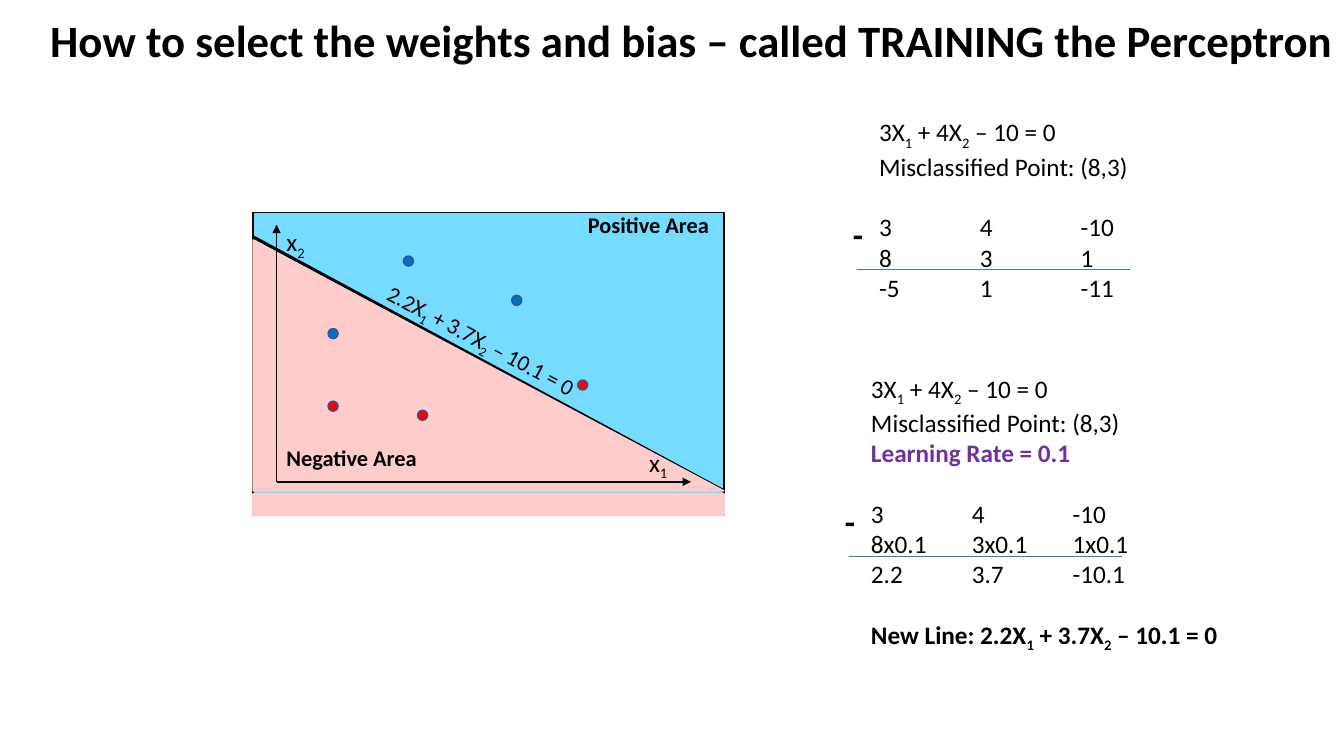
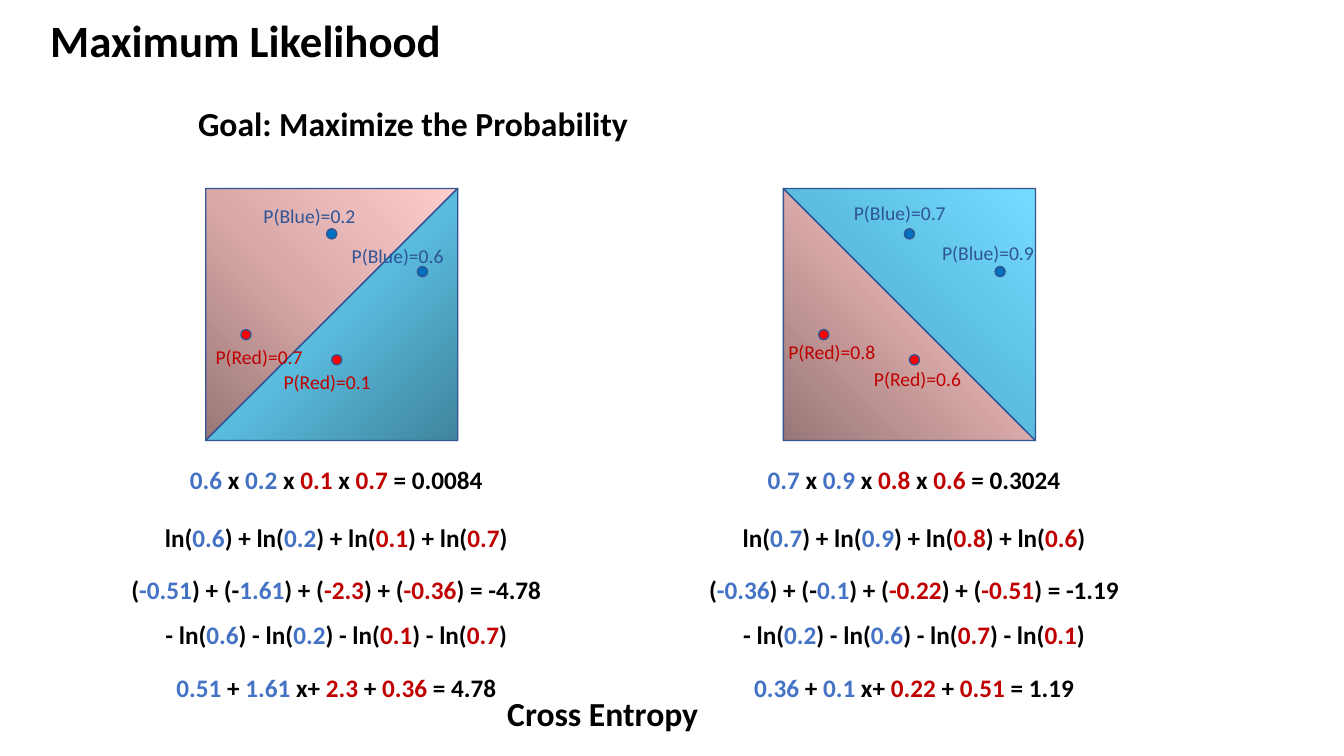
from dataclasses import dataclass

from lxml import etree
from pptx import Presentation
from pptx.dml.color import RGBColor
from pptx.enum.shapes import MSO_CONNECTOR, MSO_SHAPE
from pptx.enum.text import PP_ALIGN
from pptx.oxml.ns import qn
from pptx.util import Inches, Pt

WIDE, HIGH = 13.33, 7.5
FONT = "Calibri"
HUE = {
    "ink": "000000", "sky": "75DBFF", "rose": "FFCCCC", "edge": "325491",
    "blue": "0070C0", "red": "FF0000", "rule": "4472C4", "rate": "7030A0",
    "cool": "2F5597", "warm": "C00000",
}
FADE = {
    "rose": ("997777", "DAA9A9", "FFCCCC"),
    "sky": ("3F859D", "5ABDE0", "75DBFF"),
}
# First letter of a marked run: subscript, blue value, red value
MARKS = {"_": None, "~": "rule", "^": "warm"}


@dataclass
class Box:
    """A region whose cuts are given in units of its own width and height."""
    x: float
    y: float
    w: float
    h: float

    def cut(self, x, y, w=0, h=0):
        return Box(self.x + x * self.w, self.y + y * self.h, w * self.w, h * self.h)

    def emu(self):
        return [Inches(v) for v in (self.x, self.y, self.w, self.h)]


PAGE = Box(0, 0, WIDE, HIGH)


def rgb(name):
    return RGBColor.from_string(HUE[name])


def add_runs(para, line, size, bold, hue):
    for bit in line.split("|"):
        if not bit:
            continue
        mark = bit[0] if bit[0] in MARKS else ""
        run = para.add_run()
        run.text = bit[len(mark):]
        font = run.font
        font.name, font.size, font.bold = FONT, Pt(size), bold
        font.color.rgb = rgb(MARKS.get(mark) or hue)
        if mark == "_":
            run._r.get_or_add_rPr().set("baseline", "-25000")


def add_tabs(para, stops):
    tabs = etree.SubElement(para._p.get_or_add_pPr(), qn("a:tabLst"))
    for stop in stops:
        etree.SubElement(tabs, qn("a:tab"), pos=str(Inches(stop)), algn="l")


def write(slide, box, *lines, size=18, bold=False, hue="ink", mid=False,
          wrap=False, turn=0):
    """Each line is marked text, or a pair of marked text and its own format."""
    area = slide.shapes.add_textbox(*box.emu())
    area.rotation = turn
    frame = area.text_frame
    frame.word_wrap = wrap
    for i, line in enumerate(lines):
        text, own = line if isinstance(line, tuple) else (line, {})
        para = frame.paragraphs[0] if i == 0 else frame.add_paragraph()
        para.alignment = PP_ALIGN.CENTER if mid else PP_ALIGN.LEFT
        if own.get("gap"):
            para.space_before = Pt(own["gap"])
        if "\t" in text:
            add_tabs(para, (1, 2))
        add_runs(para, text, size, own.get("bold", bold), own.get("hue", hue))


def draw(slide, kind, box, fill, edge, turn=0):
    shape = slide.shapes.add_shape(kind, *box.emu())
    shape.shadow.inherit = False
    shape.rotation = turn
    shape.fill.solid()
    shape.fill.fore_color.rgb = rgb(fill)
    shape.line.color.rgb = rgb(edge)
    shape.line.width = Pt(1)
    return shape


def join(slide, start, end, hue="ink", width=1, arrow=False):
    line = slide.shapes.add_connector(
        MSO_CONNECTOR.STRAIGHT, *start.emu()[:2], *end.emu()[:2])
    line.line.color.rgb = rgb(hue)
    line.line.width = Pt(width)
    if arrow:
        etree.SubElement(line.line._get_or_add_ln(), qn("a:tailEnd"), type="triangle")
    etree.SubElement(line._element.spPr, qn("a:effectLst"))


def dot(slide, spot, hue):
    size = 0.1
    disc = Box(spot.x - size / 2, spot.y - size / 2, size, size)
    draw(slide, MSO_SHAPE.FLOWCHART_CONNECTOR, disc, hue, "edge")


def shade(shape, hues, linear):
    """Fade along the shape's diagonal, or outwards from the lower left of the page."""
    grad = etree.Element(qn("a:gradFill"), rotWithShape="1" if linear else "0")
    stops = etree.SubElement(grad, qn("a:gsLst"))
    for i, hue in enumerate(hues):
        stop = etree.SubElement(stops, qn("a:gs"), pos=str(i * 50000))
        etree.SubElement(stop, qn("a:srgbClr"), val=hue)
    if linear:
        etree.SubElement(grad, qn("a:lin"), ang=str(315 * 60000), scaled="0")
    else:
        ring = etree.SubElement(grad, qn("a:path"), path="circle")
        etree.SubElement(ring, qn("a:fillToRect"), t="100000", r="100000")
    props = shape._element.spPr
    props.replace(props.find(qn("a:solidFill")), grad)


def title(slide, text):
    write(slide, PAGE.cut(0.03, 0.01, 0.97, 0.09), text, size=32, bold=True)


def plot(slide, box):
    draw(slide, MSO_SHAPE.RECTANGLE, box, "sky", "ink")
    join(slide, box.cut(0, 0.08), box.cut(1, 0.92), width=2.25)
    write(slide, box.cut(0.24, 0.36, 0.49, 0.12),
          "2.2X|_1| + 3.7X|_2| – 10.1 = 0", size=16, mid=True, turn=28)
    draw(slide, MSO_SHAPE.RIGHT_TRIANGLE, box.cut(0, 0.09, 1, 0.83), "rose", "rose")
    draw(slide, MSO_SHAPE.RECTANGLE, box.cut(0, 0.93, 1, 0.07), "rose", "rose")
    root = box.cut(0.05, 0.89)
    for tip in ((0.05, 0.04), (0.93, 0.89)):
        join(slide, root, box.cut(*tip), arrow=True)
    for x, y, name in ((0.05, 0.03, "x|_2"), (0.82, 0.76, "x|_1")):
        write(slide, box.cut(x, y, 0.09, 0.13), name)
    for x, y, name in ((0.05, 0.75, "Negative Area"), (0.69, -0.02, "Positive Area")):
        write(slide, box.cut(x, y, 0.32, 0.12), name, size=16, bold=True)
    spots = {
        "blue": ((0.33, 0.16), (0.56, 0.29), (0.17, 0.4)),
        "red": ((0.36, 0.67), (0.17, 0.64), (0.7, 0.57)),
    }
    for hue, places in spots.items():
        for place in places:
            dot(slide, box.cut(*place), hue)


def sums(slide, x, y, rows, extra=(), close=()):
    """Subtraction on a grid of one-inch columns and text-line rows."""
    grid = Box(x, y, 1, 0.31)
    skip = len(extra)
    blank = {"gap": 21.6}
    lines = ["3X|_1| + 4X|_2| – 10 = 0", "Misclassified Point: (8,3)", *extra]
    first, *rest = ["\t".join(row) for row in rows]
    lines += [(first, blank), *rest]
    lines += [(text, {**blank, "bold": True}) for text in close]
    write(slide, grid.cut(0.26, 0, 3.72, 7 + 3 * skip), *lines, wrap=True)
    join(slide, grid.cut(0.14, 5.03 + skip), grid.cut(2.85, 5.03 + skip),
         hue="rule", width=0.5)
    write(slide, grid.cut(0, 3.1 + skip, 0.31, 1.6), "-", size=24, bold=True)


def square(slide, box, turns, tags):
    """Two shaded halves, four points and the chance of each."""
    for hue, turn in zip(("rose", "sky"), turns):
        half = draw(slide, MSO_SHAPE.RIGHT_TRIANGLE, box, hue, "edge", turn)
        shade(half, FADE[hue], turn == 270)
    spots = ((0.86, 0.33), (0.5, 0.18), (0.52, 0.68), (0.16, 0.58))
    for i, (spot, (x, y, odds)) in enumerate(zip(spots, tags)):
        name, hue, ink = ("Blue", "blue", "cool") if i < 2 else ("Red", "red", "warm")
        dot(slide, box.cut(*spot), hue)
        write(slide, box.cut(x, y, 0.45, 0.14), f"P({name})={odds}", size=14, hue=ink)


FORMS = (
    (0, "{} x {} x {} x {} = {}"),
    (0.23, "ln({}) + ln({}) + ln({}) + ln({})"),
    (0.44, "({}) + (-{}) + ({}) + ({}) = {}"),
    (0.62, "- ln({}) - ln({}) - ln({}) - ln({})"),
    (0.83, "{} + {} x+ {} + {} = {}"),
)


def proof(slide, box, rows):
    for (top, form), row in zip(FORMS, rows):
        odds = row.split()
        marked = [f"|{mark}{odd}|" for mark, odd in zip("~~^^", odds)]
        write(slide, box.cut(0, top, 1, 0.16), form.format(*marked, *odds[4:]),
              bold=True, mid=True)


def train(slide):
    plot(slide, Box(2.51, 2.11, 4.67, 3))
    sums(slide, 8.36, 1.11, (("3", "4", "-10"), ("8", "3", "1"), ("-5", "1", "-11")))
    sums(slide, 8.28, 3.65,
         (("3", "4", "-10"), ("8x0.1", "3x0.1", "1x0.1"), ("2.2", "3.7", "-10.1")),
         extra=[("Learning Rate = 0.1", {"bold": True, "hue": "rate"})],
         close=["New Line: 2.2X|_1| + 3.7X|_2| – 10.1 = 0"])
    title(slide, "How to select the weights and bias – called TRAINING the Perceptron")


def likely(slide):
    cases = (
        (2.04, (90, 270),
         ((0.54, 0.2, 0.6), (0.19, 0.04, 0.2), (0.27, 0.7, 0.1), (0, 0.6, 0.7)),
         ("0.6 0.2 0.1 0.7 0.0084", "0.6 0.2 0.1 0.7", "-0.51 1.61 -2.3 -0.36 -4.78",
          "0.6 0.2 0.1 0.7", "0.51 1.61 2.3 0.36 4.78")),
        (7.77, (0, 180),
         ((0.59, 0.19, 0.9), (0.24, 0.03, 0.7), (0.32, 0.69, 0.6), (-0.02, 0.58, 0.8)),
         ("0.7 0.9 0.8 0.6 0.3024", "0.7 0.9 0.8 0.6", "-0.36 0.1 -0.22 -0.51 -1.19",
          "0.2 0.6 0.7 0.1", "0.36 0.1 0.22 0.51 1.19")),
    )
    for left, turns, tags, rows in cases:
        square(slide, Box(left, 1.87, 2.5, 2.5), turns, tags)
        proof(slide, Box(left - 0.86, 4.56, 4.31, 2.48), rows)
    for x, y, w, text in ((0.37, 0.91, 0.16, "Cross Entropy"),
                          (0.14, 0.13, 0.34, "Goal: Maximize the Probability")):
        write(slide, PAGE.cut(x, y, w, 0.07), text, size=24, bold=True)
    title(slide, "Maximum Likelihood")


def main():
    deck = Presentation()
    deck.slide_width, deck.slide_height = Inches(WIDE), Inches(HIGH)
    for fill in (train, likely):
        fill(deck.slides.add_slide(deck.slide_layouts[6]))
    deck.save("out.pptx")


if __name__ == "__main__":
    main()
